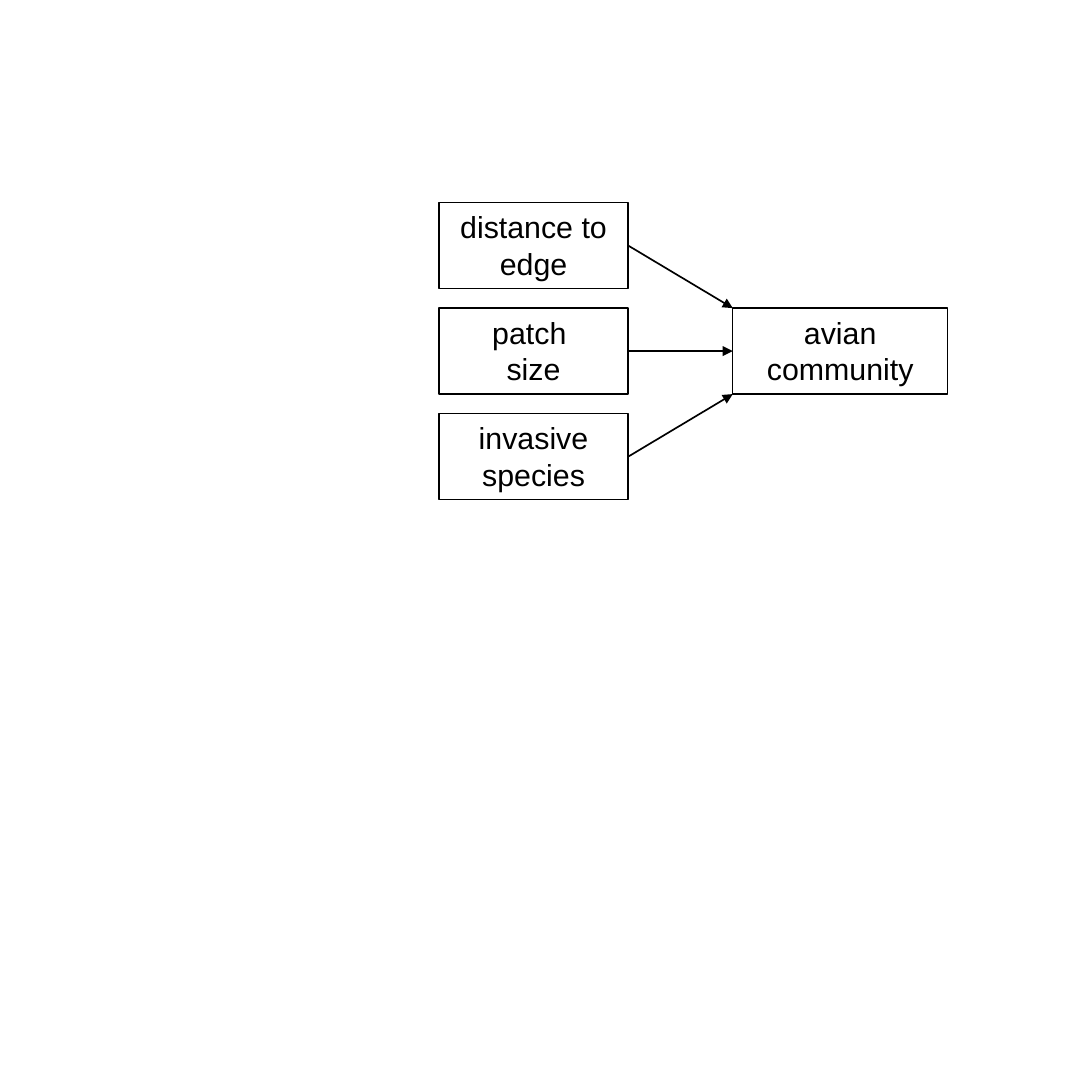
import pptx
import pptx.dml.color
import pptx.enum.shapes
import pptx.enum.text
import pptx.oxml
import pptx.oxml.ns
import pptx.util
from pptx.util import Cm

LEFT, RIGHT = 1, 3  # connection sites of a rectangle


def color(hex_code):
    return pptx.dml.color.RGBColor.from_string(hex_code)


def write(frame, text, font="Arial", size=18, ink="000000",
          align=pptx.enum.text.PP_ALIGN.CENTER):
    """Fill a text frame, one paragraph per line of text."""
    frame.text = text
    frame.word_wrap = True
    for paragraph in frame.paragraphs:
        paragraph.alignment = align
        for run in paragraph.runs:
            run.font.name = font
            run.font.size = pptx.util.Pt(size)
            run.font.color.rgb = color(ink)


class Diagram:
    ink = "000000"
    box_line = 0.75
    arrow_line = 1
    box_height = Cm(1.8)

    def __init__(self, slide):
        self.shapes = slide.shapes

    def box(self, text, left, top, width):
        rectangle = self.shapes.add_shape(
            pptx.enum.shapes.MSO_SHAPE.RECTANGLE, left, top, width, self.box_height)
        rectangle.shadow.inherit = False
        rectangle.fill.background()
        rectangle.line.color.rgb = color(self.ink)
        rectangle.line.width = pptx.util.Pt(self.box_line)
        write(rectangle.text_frame, text, ink=self.ink)
        rectangle.text_frame.vertical_anchor = pptx.enum.text.MSO_ANCHOR.TOP
        return rectangle

    def arrow(self, source, end_x, end_y):
        """Draw an arrow from the right side of a box to a point."""
        link = self.shapes.add_connector(
            pptx.enum.shapes.MSO_CONNECTOR.STRAIGHT, 0, 0, end_x, end_y)
        link.begin_connect(source, RIGHT)
        link.line.color.rgb = color(self.ink)
        link.line.width = pptx.util.Pt(self.arrow_line)
        namespace = pptx.oxml.ns.nsdecls("a")
        link.line._get_or_add_ln().append(
            pptx.oxml.parse_xml(f'<a:tailEnd {namespace} type="triangle"/>'))
        link._element.spPr.append(pptx.oxml.parse_xml(f"<a:effectLst {namespace}/>"))
        return link


def main():
    deck = pptx.Presentation()
    deck.slide_width = deck.slide_height = Cm(22.86)
    blank_layout = deck.slide_layouts[6]
    diagram = Diagram(deck.slides.add_slide(blank_layout))

    first_top, pitch = Cm(4.24), Cm(2.21)
    factors = ["distance to edge", "patch \nsize", "invasive species"]
    distance, patch, invasive = [
        diagram.box(factor, Cm(9.19), first_top + row * pitch, Cm(3.96))
        for row, factor in enumerate(factors)]
    community = diagram.box("avian community", Cm(15.34), patch.top, Cm(4.5))

    diagram.arrow(distance, community.left, community.top)
    diagram.arrow(patch, community.left, community.top).end_connect(community, LEFT)
    diagram.arrow(invasive, community.left, community.top + community.height)

    deck.save("out.pptx")


if __name__ == "__main__":
    main()
